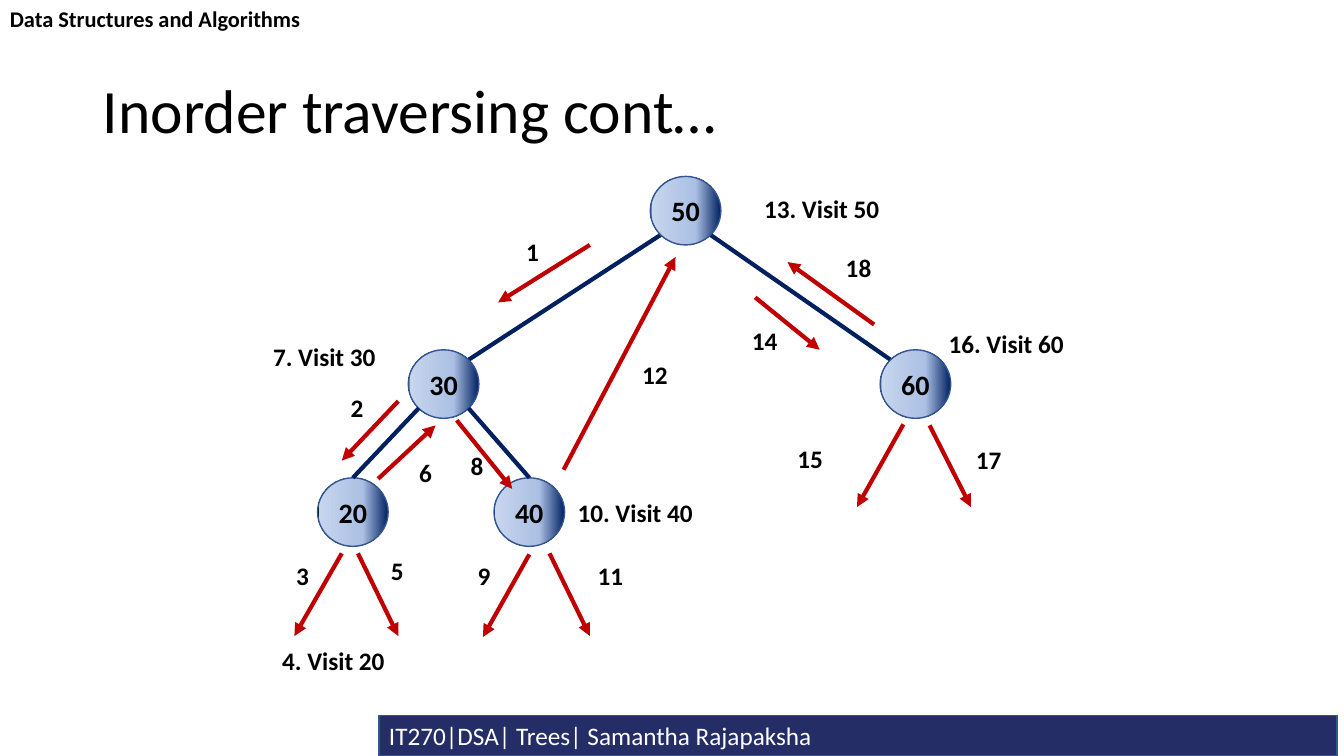
import pptx
import pptx.util
import pptx.dml.color
import pptx.enum.dml
import pptx.enum.shapes
import pptx.enum.text
import pptx.oxml.ns
from lxml import etree

PX = 9144
SLIDE_SIZE = (1333, 750)
NODE_SIZE = (70, 68)
COLORS = {
    "text": "000000",
    "white": "FFFFFF",
    "footer": "252D67",
    "outline": "325491",
    "edge": "002060",
    "arrow": "C00000",
}
NODE_GRADIENT = [(0, "002060"), (36, "ABC0E4"), (98, "C7D5ED"), (99, "000000")]
NODES = {"50": (384, 0), "30": (144, 172), "60": (612, 172), "20": (54, 299), "40": (229, 299)}
DIAGONAL_EDGES = [("50", "30", -1), ("50", "60", 1)]
TOP_EDGES = [("30", "20", -1), ("30", "40", 1)]
STEPS = [
    ("1", (324, 68), (233, 125), (251, 55)),
    ("2", (134, 223), (78, 282), (77, 209)),
    ("3", (78, 374), (31, 456), (23, 376)),
    ("5", (94, 374), (134, 456), (117, 371)),
    ("6", (114, 300), (171, 247), (145, 274)),
    ("8", (192, 242), (247, 310), (196, 267)),
    ("9", (264, 375), (218, 457), (203, 376)),
    ("11", (284, 374), (324, 456), (322, 376)),
    ("12", (298, 291), (409, 80), (366, 177)),
    ("14", (488, 120), (552, 172), (475, 143)),
    ("15", (635, 246), (589, 328), (520, 260)),
    ("17", (661, 247), (702, 328), (697, 261)),
    ("18", (606, 147), (520, 85), (568, 70)),
]
VISITS = [
    ("4. Visit 20", (9, 460)),
    ("7. Visit 30", (0, 159)),
    ("10. Visit 40", (302, 313)),
    ("13. Visit 50", (487, 12)),
    ("16. Visit 60", (670, 146)),
]


def color(name):
    return pptx.dml.color.RGBColor.from_string(COLORS[name])


def scaled(*lengths):
    return [round(length * PX) for length in lengths]


def write_text(shape, text, size=18, bold=False, ink="text", align="LEFT", anchor="TOP", spacing=None):
    frame = shape.text_frame
    frame.word_wrap = True
    frame.auto_size = pptx.enum.text.MSO_AUTO_SIZE.NONE
    frame.vertical_anchor = getattr(pptx.enum.text.MSO_ANCHOR, anchor)
    frame.text = text
    paragraph = frame.paragraphs[0]
    paragraph.alignment = getattr(pptx.enum.text.PP_ALIGN, align)
    paragraph.line_spacing = spacing
    paragraph.font.name = "Calibri"
    paragraph.font.size = pptx.util.Pt(size)
    paragraph.font.bold = bold
    paragraph.font.color.rgb = color(ink)


def add_label(slide, text, box, **text_format):
    write_text(slide.shapes.add_textbox(*scaled(*box)), text, bold=True, **text_format)


def add_outlined_shape(slide, kind, box):
    shape = slide.shapes.add_shape(kind, *scaled(*box))
    shape.shadow.inherit = False
    shape.line.color.rgb = color("outline")
    shape.line.width = pptx.util.Pt(1)
    return shape


def add_line(slide, start, end, ink, arrow=False):
    straight = pptx.enum.shapes.MSO_CONNECTOR.STRAIGHT
    connector = slide.shapes.add_connector(straight, *scaled(*start, *end))
    connector.line.color.rgb = color(ink)
    connector.line.width = pptx.util.Pt(3)
    properties = connector._element.spPr
    if arrow:
        line = properties.find(pptx.oxml.ns.qn("a:ln"))
        etree.SubElement(line, pptx.oxml.ns.qn("a:tailEnd"), type="triangle")
    etree.SubElement(properties, pptx.oxml.ns.qn("a:effectLst"))
    return connector


def add_node(slide, key, left, top):
    kind = pptx.enum.shapes.MSO_SHAPE.FLOWCHART_CONNECTOR
    node = add_outlined_shape(slide, kind, (left, top, *NODE_SIZE))
    node.fill.gradient()
    node.fill.gradient_angle = 180
    stops = node._element.spPr.find(".//" + pptx.oxml.ns.qn("a:gsLst"))
    for stop in list(stops):
        stops.remove(stop)
    for position, value in NODE_GRADIENT:
        stop = etree.SubElement(stops, pptx.oxml.ns.qn("a:gs"), pos=str(position * 1000))
        etree.SubElement(stop, pptx.oxml.ns.qn("a:srgbClr"), val=value)
    write_text(node, key, size=20, bold=True, align="CENTER", anchor="MIDDLE")
    return node


def add_tree(slide, box):
    left, top = box[:2]

    def place(point):
        return left + point[0], top + point[1]

    def rim(key, horizontal, vertical):
        x, y = place(NODES[key])
        width, height = NODE_SIZE
        reach = 0.5 ** 0.5
        return x + width / 2 * (1 + horizontal * reach), y + height / 2 * (1 + vertical * reach)

    for parent, child, side in DIAGONAL_EDGES:
        add_line(slide, rim(parent, side, 1), rim(child, -side, -1), "edge")
    nodes = {key: add_node(slide, key, *place(point)) for key, point in NODES.items()}
    for parent, child, side in TOP_EDGES:
        start = rim(parent, side, 1)
        add_line(slide, start, start, "edge").end_connect(nodes[child], 0)
    for number, start, end, label in STEPS:
        add_line(slide, place(start), place(end), "arrow", arrow=True)
        add_label(slide, number, (*place(label), 44 if len(number) == 1 else 80, 40))
    for text, point in VISITS:
        add_label(slide, text, (*place(point), 160, 40))


def add_title(slide, box):
    title = slide.shapes.title
    title.left, title.top, title.width, title.height = scaled(*box)
    write_text(title, "Inorder traversing cont…", size=44, anchor="MIDDLE", spacing=0.9)


def add_footer(slide, box):
    footer = add_outlined_shape(slide, pptx.enum.shapes.MSO_SHAPE.RECTANGLE, box)
    footer.fill.solid()
    footer.fill.fore_color.rgb = color("footer")
    write_text(footer, "IT270|DSA| Trees| Samantha Rajapaksha", ink="white", anchor="MIDDLE")


def main():
    presentation = pptx.Presentation()
    presentation.slide_width, presentation.slide_height = scaled(*SLIDE_SIZE)
    slide = presentation.slides.add_slide(presentation.slide_layouts.get_by_name("Title Only"))
    add_footer(slide, (376, 710, 950, 40))
    add_label(slide, "Data Structures and Algorithms", (0, 0, 1333, 37), size=16)
    add_title(slide, (92, 40, 1150, 145))
    add_tree(slide, (261, 175, 830, 500))
    presentation.save("out.pptx")


if __name__ == "__main__":
    main()
